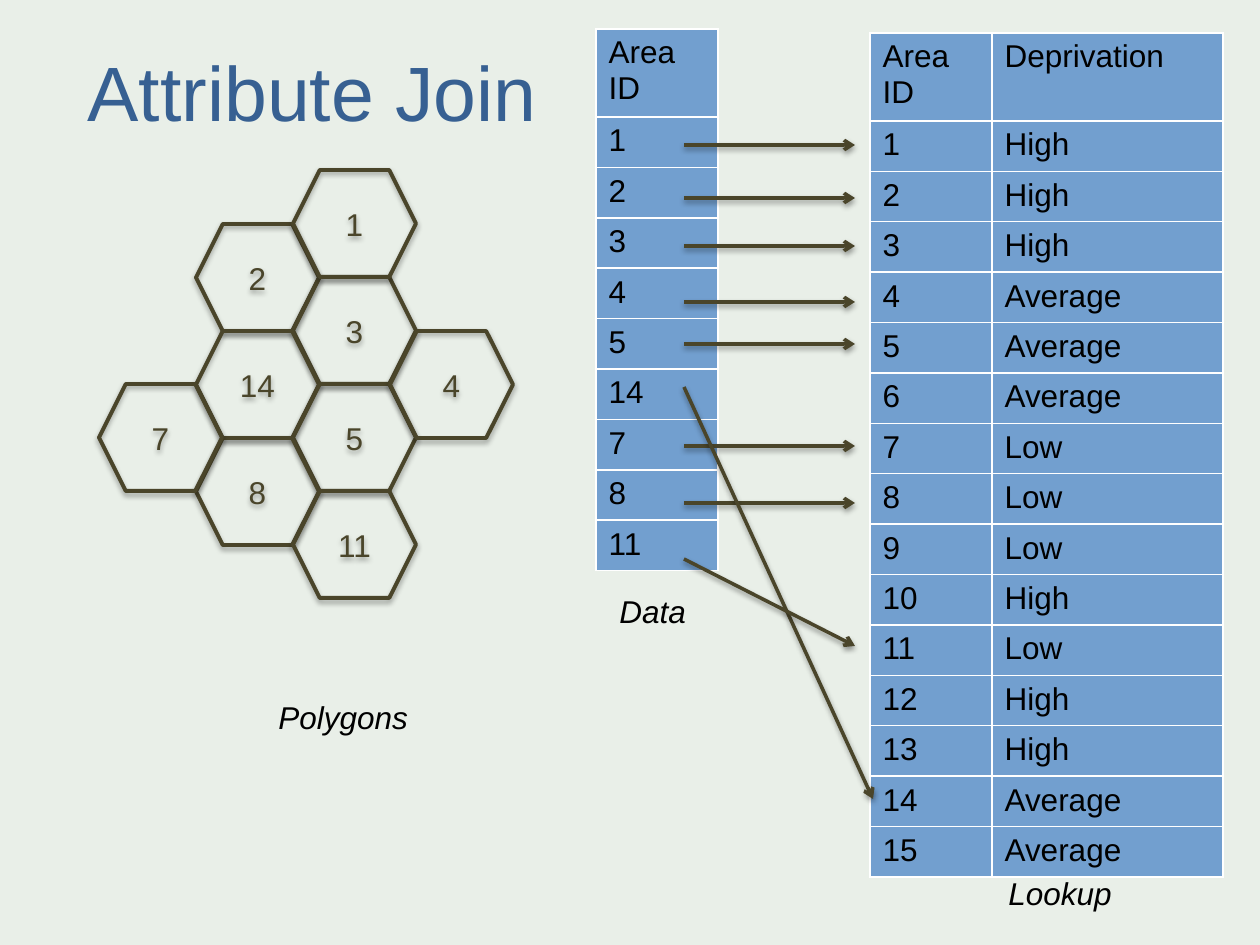
from lxml.etree import SubElement
from pptx import Presentation
from pptx.dml.color import RGBColor
from pptx.enum.shapes import MSO_CONNECTOR, MSO_SHAPE
from pptx.enum.text import MSO_ANCHOR, MSO_AUTO_SIZE, PP_ALIGN
from pptx.oxml import parse_xml
from pptx.oxml.ns import nsdecls, qn
from pptx.util import Emu, Pt

PX_PER_INCH = 126


def px(length):
    """Turn pixels into EMU."""
    return Emu(round(length * 914400 / PX_PER_INCH))


def color(value):
    return RGBColor.from_string(value)


def write(frame, text, size=18, ink="000000", italic=False, align=PP_ALIGN.LEFT):
    para = frame.paragraphs[0]
    para.alignment = align
    span = para.add_run()
    span.text = text
    font = span.font
    font.name, font.size, font.italic, font.bold = "Arial", Pt(size), italic, False
    font.color.rgb = color(ink)


class Page:
    """Holds the style and the slide being filled."""

    background = "E9EFE8"
    title_ink = "376092"
    outline = "4A452A"
    cell_fill = "729FCF"
    border = "FFFFFF"
    header_height = 88

    def __init__(self, slide):
        self.slide = slide
        self.shapes = slide.shapes
        fill = slide.background.fill
        fill.solid()
        fill.fore_color.rgb = color(self.background)

    def stroke(self, shape, width, shadow_distance, shadow_alpha):
        """Outline a shape or connector and give it a soft shadow below."""
        shape.line.color.rgb = color(self.outline)
        shape.line.width = Pt(width)
        shape._element.spPr.append(parse_xml(
            f'<a:effectLst {nsdecls("a")}><a:outerShdw blurRad="40000" '
            f'dist="{shadow_distance}" dir="5400000" rotWithShape="0">'
            f'<a:srgbClr val="000000"><a:alpha val="{shadow_alpha}000"/></a:srgbClr>'
            '</a:outerShdw></a:effectLst>'))

    def text(self, left, top, width, height, text, wrap=False, **style):
        box = self.shapes.add_textbox(px(left), px(top), px(width), px(height))
        frame = box.text_frame
        frame.word_wrap = wrap
        frame.auto_size = MSO_AUTO_SIZE.NONE if wrap else MSO_AUTO_SIZE.SHAPE_TO_FIT_TEXT
        write(frame, text, **style)

    def hexagon(self, left, top, label):
        shape = self.shapes.add_shape(
            MSO_SHAPE.HEXAGON, px(left), px(top), px(123), px(107))
        shape.adjustments[0] = 0.25
        shape.fill.background()
        self.stroke(shape, 2.25, 23000, 35)
        frame = shape.text_frame
        frame.vertical_anchor = MSO_ANCHOR.MIDDLE
        write(frame, label, ink=self.outline, align=PP_ALIGN.CENTER)

    def arrow(self, start, end):
        line = self.shapes.add_connector(
            MSO_CONNECTOR.STRAIGHT, *map(px, start), *map(px, end))
        self.stroke(line, 2, 20000, 38)
        SubElement(line.line._get_or_add_ln(), qn("a:tailEnd"), type="arrow")

    def style_cell(self, cell, text):
        properties = cell._tc.get_or_add_tcPr()
        for side in ("lnL", "lnR", "lnT", "lnB"):
            properties.append(parse_xml(
                f'<a:{side} {nsdecls("a")} w="12192"><a:solidFill>'
                f'<a:srgbClr val="{self.border}"/></a:solidFill></a:{side}>'))
        cell.fill.solid()
        cell.fill.fore_color.rgb = color(self.cell_fill)
        write(cell.text_frame, text)

    def table(self, left, top, widths, height, rows):
        """Add a table whose rows below the header share the height equally."""
        table = self.shapes.add_table(
            len(rows), len(widths), px(left), px(top), px(sum(widths)), px(height)).table
        table.first_row = table.horz_banding = False
        for column, width in zip(table.columns, widths):
            column.width = px(width)
        row_height = (height - self.header_height) / (len(rows) - 1)
        for index, values in enumerate(rows):
            table.rows[index].height = px(row_height if index else self.header_height)
            for column, value in enumerate(values):
                self.style_cell(table.cell(index, column), value)


# Area ID: column of the honeycomb, half rows down from its top
AREAS = {"2": (1, 1), "3": (2, 2), "1": (2, 0), "14": (1, 3), "5": (2, 4),
         "8": (1, 5), "4": (3, 3), "11": (2, 6), "7": (0, 4)}
DATA_IDS = ["1", "2", "3", "4", "5", "14", "7", "8", "11"]
DEPRIVATION = (["High"] * 3 + ["Average"] * 3 + ["Low"] * 3
               + ["High", "Low", "High", "High", "Average", "Average"])
ARROW_START, ARROW_END = 684, 855
LEVEL_JOINS = [145, 198, 246, 302, 344, 446, 503]
SLOPED_JOINS = [(387, (873, 799)), (559, (ARROW_END, 646))]


def main():
    deck = Presentation()
    deck.slide_width, deck.slide_height = px(1260), px(945)
    page = Page(deck.slides.add_slide(deck.slide_layouts[6]))

    for area, (column, half_rows) in AREAS.items():
        page.hexagon(99 + 97 * column, 170 + (half_rows * 107 + 1) // 2, area)

    lookup = [(str(area), level) for area, level in enumerate(DEPRIVATION, 1)]
    page.table(870, 33, [122, 231], 844, [("Area ID", "Deprivation"), *lookup])
    page.table(596, 29, [122], 542, [("Area ID",), *((area,) for area in DATA_IDS)])

    page.text(266, 692, 156, 50, "Polygons", italic=True)
    page.text(607, 586, 93, 50, "Data", italic=True)
    page.text(996, 868, 129, 50, "Lookup", italic=True)

    level = [(y, (ARROW_END, y)) for y in LEVEL_JOINS]
    for y, end in level + SLOPED_JOINS:
        page.arrow((ARROW_START, y), end)

    page.text(63, 38, 499, 157, "Attribute Join", wrap=True,
              size=44, ink=page.title_ink, align=PP_ALIGN.CENTER)
    deck.save("out.pptx")


if __name__ == "__main__":
    main()
